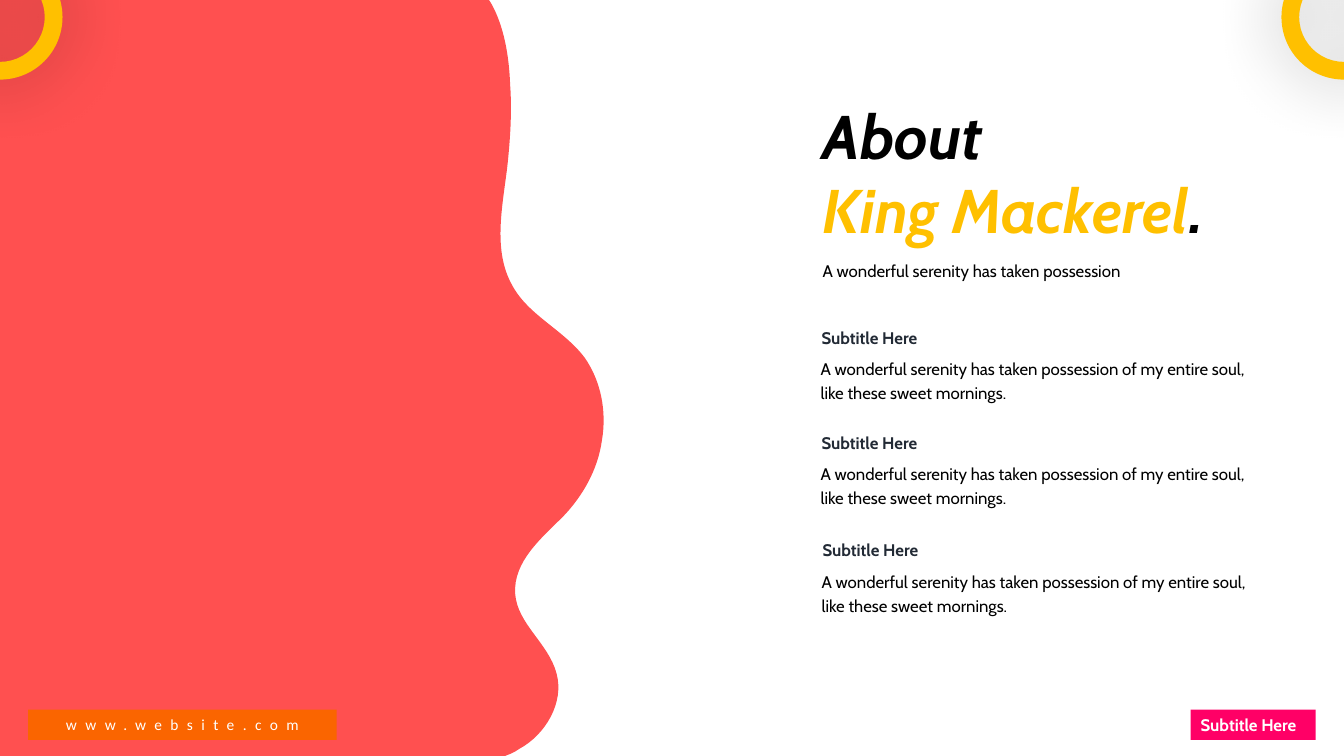
from lxml.etree import SubElement
from pptx import Presentation
from pptx.dml.color import RGBColor
from pptx.enum.shapes import MSO_SHAPE
from pptx.enum.text import MSO_ANCHOR, MSO_AUTO_SIZE, PP_ALIGN
from pptx.oxml.ns import qn
from pptx.util import Emu, Pt

EMU_PER_PX = 9144  # 100 px to the inch
SLIDE_W, SLIDE_H = 1333, 750
COLORS = {
    "coral": "FF5050", "gold": "FFC000", "orange": "FA6500", "pink": "FF0066",
    "slate": "222A35", "black": "000000", "white": "FFFFFF",
}
# Right edge of the wave, bottom to top: two control points and an end per curve
WAVE_START = (506, 748)
WAVE_CURVES = [
    ((509, 747), (512, 745), (515, 743)),
    ((541, 729), (560, 697), (552, 668)),
    ((544, 638), (513, 619), (511, 589)),
    ((509, 557), (537, 534), (559, 512)),
    ((578, 492), (593, 466), (597, 437)),
    ((602, 408), (596, 378), (580, 355)),
    ((559, 327), (524, 313), (508, 283)),
    ((489, 249), (498, 207), (503, 167)),
    ((506, 140), (508, 111), (506, 84)),
    ((505, 56), (500, 26), (487, 3)),
]
SUBTITLE = "Subtitle Here"
SECTION_TEXT = ("A wonderful serenity has taken possession of my entire soul, "
                "like these sweet mornings.")
SECTION_CORNERS = [(804, 314), (804, 418), (805, 525)]


def px(length):
    return Emu(round(length * EMU_PER_PX))


def rgb(name):
    return RGBColor.from_string(COLORS[name])


def style(font, size, color, bold=False, italic=False, name="Cabin"):
    font.name, font.size = name, Pt(size)
    font.bold, font.italic = bold, italic
    font.color.rgb = rgb(color)


def paint(shape, color):
    shape.shadow.inherit = False
    shape.fill.solid()
    shape.fill.fore_color.rgb = rgb(color)
    shape.line.fill.background()


def add_block(slide, box, color, kind=MSO_SHAPE.RECTANGLE):
    block = slide.shapes.add_shape(kind, *map(px, box))
    paint(block, color)
    return block


def add_text(slide, box, text, spacing, color="black", bold=False):
    frame = slide.shapes.add_textbox(*map(px, box)).text_frame
    frame.word_wrap = True
    frame.auto_size = MSO_AUTO_SIZE.SHAPE_TO_FIT_TEXT
    paragraph = frame.paragraphs[0]
    paragraph.text = text
    paragraph.line_spacing = spacing
    style(paragraph.font, 12, color, bold)


def bend(segment, controls):
    """Turn a straight outline segment into a Bézier curve with the same end."""
    segment.tag = qn("a:cubicBezTo")
    for position, (x, y) in enumerate(controls):
        point = SubElement(segment, qn("a:pt"), x=str(px(x)), y=str(px(y)))
        segment.insert(position, point)


def add_wave(slide, left, top, height):
    ends = [curve[-1] for curve in WAVE_CURVES]
    outline = [(0, height), (501, height), WAVE_START, *ends, (485, 0)]
    builder = slide.shapes.build_freeform(px(left), px(top), scale=1.0)
    builder.add_line_segments([(px(left + x), px(top + y)) for x, y in outline], close=True)
    wave = builder.convert_to_shape()
    paint(wave, "coral")
    segments = list(wave._element.iter(qn("a:lnTo")))
    first = outline.index(WAVE_START) + 1
    for segment, curve in zip(segments[first:], WAVE_CURVES):
        bend(segment, curve[:2])


def add_heading(slide, left, top):
    title = slide.shapes.title
    title.left, title.top, title.width, title.height = map(px, (left, top, 522, 158))
    frame = title.text_frame
    frame.auto_size = MSO_AUTO_SIZE.SHAPE_TO_FIT_TEXT
    frame.vertical_anchor = MSO_ANCHOR.TOP
    frame.text = "About\n"
    about, fish = frame.paragraphs
    fish.add_run().text = "King Mackerel"
    fish.add_run().text = "."
    for paragraph in (about, fish):
        paragraph.alignment = PP_ALIGN.LEFT
        style(paragraph.font, 44, "black", bold=True, italic=True)
    fish.runs[0].font.color.rgb = rgb("gold")
    add_text(slide, (left, top + 152, 442, 37),
             "A wonderful serenity has taken possession", 1.5)


def add_section(slide, left, top):
    add_text(slide, (left, top + 33, 441, 56), SECTION_TEXT, 1.2)
    add_text(slide, (left + 1, top, 126, 34), SUBTITLE, 1.3, "slate", bold=True)


def add_footer(slide, left, top, width):
    # Label at the right end
    label = add_block(slide, (left + width - 124, top, 124, 30), "pink").text_frame
    label.word_wrap = False
    label.auto_size = MSO_AUTO_SIZE.SHAPE_TO_FIT_TEXT
    label.vertical_anchor = MSO_ANCHOR.TOP
    caption = label.paragraphs[0]
    caption.text = SUBTITLE
    caption.alignment = PP_ALIGN.LEFT
    style(caption.font, 12, "white", bold=True)
    # Web address at the left end
    bar = add_block(slide, (left, top, 306, 30), "orange", MSO_SHAPE.ROUNDED_RECTANGLE)
    bar.adjustments[0] = 0
    bar.text_frame.vertical_anchor = MSO_ANCHOR.MIDDLE
    address = bar.text_frame.paragraphs[0]
    address.text = "www.website.com"
    address.alignment = PP_ALIGN.CENTER
    style(address.font, 11, "white", name="Calibri")
    address.runs[0].font._element.set("spc", "600")


def add_ring(slide, center_x, center_y, size):
    box = (center_x - size / 2, center_y - size / 2, size, size)
    ring = add_block(slide, box, "gold", MSO_SHAPE.DONUT)
    ring.adjustments[0] = 0.142
    # Soft shadow
    effects = ring._element.spPr.find(qn("a:effectLst"))
    shadow = SubElement(effects, qn("a:outerShdw"), blurRad=str(Pt(49)), dist="0",
                        dir="0", algn="ctr", rotWithShape="0")
    tint = SubElement(shadow, qn("a:srgbClr"), val=COLORS["black"])
    SubElement(tint, qn("a:alpha"), val="33000")


def build_about_slide(deck):
    slide = deck.slides.add_slide(deck.slide_layouts[5])
    add_wave(slide, 0, 0, SLIDE_H)
    add_heading(slide, 806, 92)
    for left, top in SECTION_CORNERS:
        add_section(slide, left, top)
    add_footer(slide, 28, 704, SLIDE_W - 2 * 28)
    for center_x in (0, SLIDE_W):
        add_ring(slide, center_x, 17, 124)


def main():
    deck = Presentation()
    deck.slide_width, deck.slide_height = px(SLIDE_W), px(SLIDE_H)
    build_about_slide(deck)
    deck.save("out.pptx")


if __name__ == "__main__":
    main()
